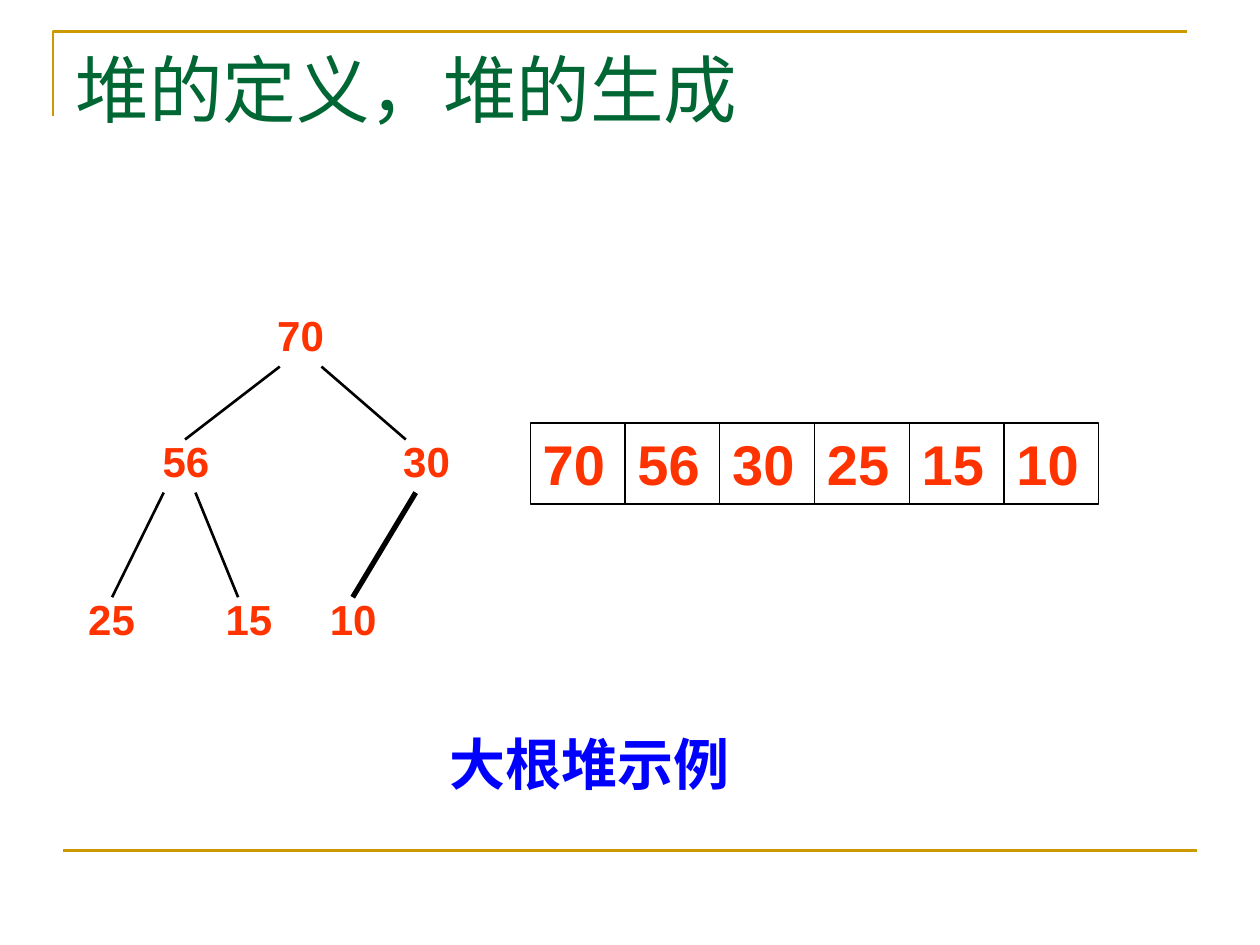
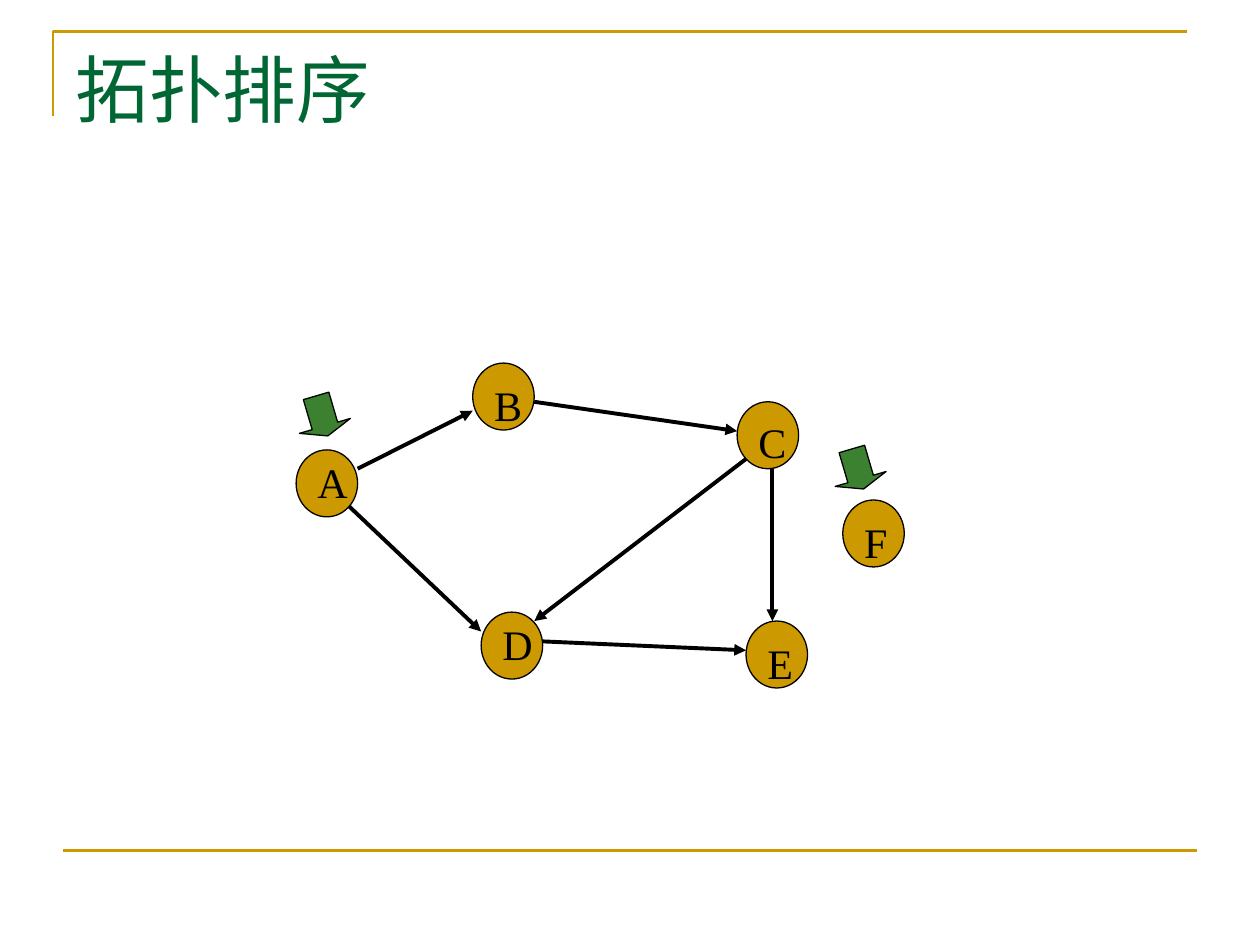
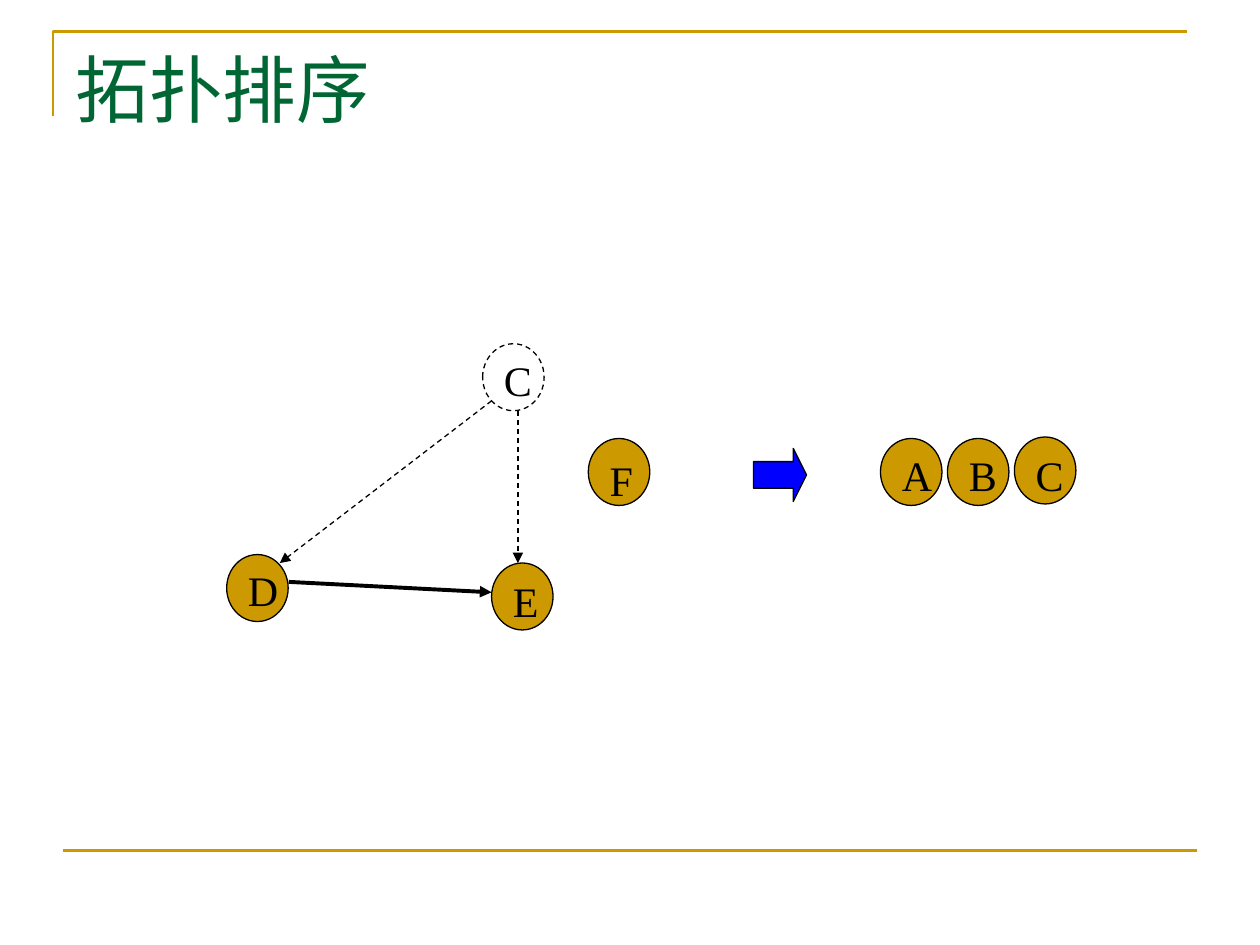
from dataclasses import dataclass
from typing import Optional

from lxml.etree import SubElement
from pptx import Presentation
from pptx.dml.color import RGBColor
from pptx.enum.dml import MSO_LINE_DASH_STYLE as Dash
from pptx.enum.shapes import MSO_CONNECTOR_TYPE as ConnectorType, MSO_SHAPE as Preset
from pptx.enum.text import MSO_ANCHOR as Anchor, MSO_AUTO_SIZE as AutoSize, PP_ALIGN as Align
from pptx.oxml.ns import qn
from pptx.util import Cm, Pt

GOLD = RGBColor(0xCC, 0x99, 0x00)
TITLE_GREEN = RGBColor(0x00, 0x66, 0x33)
ARROW_GREEN = RGBColor(0x3B, 0x81, 0x2F)
ORANGE = RGBColor(0xFF, 0x33, 0x00)
BLUE = RGBColor(0x00, 0x00, 0xFF)
BLACK = RGBColor(0x00, 0x00, 0x00)

TITLE_FONT = {"name": "Times New Roman", "size": Pt(42), "bold": False}
LETTER_FONT = {"name": "Times New Roman", "size": Pt(24)}
TREE_FONT = {"name": "Arial", "size": Pt(24), "bold": True}
LARGE_FONT = {"name": "Arial", "size": Pt(32), "bold": True}

VERTEX_WIDTH, VERTEX_HEIGHT = 1.24, 1.35
CELL_WIDTH = 1.91
THIN, THICK = 0.75, 2.25


@dataclass(frozen=True)
class Box:
    left: float
    top: float
    width: float
    height: float

    def lengths(self) -> list:
        return [Cm(value) for value in (self.left, self.top, self.width, self.height)]


@dataclass(frozen=True)
class TreeNode:
    value: str
    left: float
    top: float


@dataclass(frozen=True)
class Vertex:
    letter: str
    left: float
    top: float
    label_drop: float
    removed: bool = False


@dataclass(frozen=True)
class Edge:
    start: tuple
    end: tuple
    weight: float = THICK
    dashed: bool = False
    arrow: bool = True
    color: RGBColor = BLACK


@dataclass(frozen=True)
class BlockArrow:
    box: Box
    color: RGBColor
    rotation: float = 0


BOTTOM_RULE = Edge((1.27, 17.15), (24.13, 17.15), 1.5, arrow=False, color=GOLD)

TREE_NODES = [
    TreeNode("70", 5.21, 6.12),
    TreeNode("56", 2.9, 8.66),
    TreeNode("30", 7.75, 8.66),
    TreeNode("25", 1.4, 11.84),
    TreeNode("15", 4.17, 11.84),
    TreeNode("10", 6.27, 11.84),
]
TREE_EDGES = [
    Edge((5.64, 7.39), (3.73, 8.86), 1.5, arrow=False),
    Edge((6.48, 7.39), (8.18, 8.86), 1.5, arrow=False),
    Edge((3.3, 9.93), (2.26, 12.04), 1.5, arrow=False),
    Edge((3.94, 9.93), (4.8, 12.04), 1.5, arrow=False),
    Edge((8.38, 9.93), (7.11, 12.04), 3, arrow=False),
]

FULL_GRAPH = [
    Vertex("A", 5.97, 9.07, 0),
    Vertex("B", 9.53, 7.32, 0.2),
    Vertex("C", 14.86, 8.1, 0.18),
    Vertex("D", 9.7, 12.34, 0),
    Vertex("E", 15.04, 12.52, 0.2),
    Vertex("F", 16.99, 10.08, 0.2),
]
FULL_EDGES = [
    Edge((7.21, 9.45), (9.53, 8.28)),
    Edge((10.77, 8.1), (14.86, 8.69)),
    Edge((7.04, 10.21), (9.7, 12.73)),
    Edge((10.95, 12.93), (15.04, 13.11)),
    Edge((15.57, 9.45), (15.57, 12.52)),
    Edge((15.04, 9.25), (10.77, 12.52)),
]
SOURCE_MARKERS = [
    BlockArrow(Box(6.07, 7.85, 0.84, 1.07), ARROW_GREEN, 73.6),
    BlockArrow(Box(16.87, 8.92, 0.84, 1.07), ARROW_GREEN, 73.6),
]

REDUCED_GRAPH = [
    Vertex("C", 9.73, 6.93, 0.1, removed=True),
    Vertex("D", 4.57, 11.18, 0.08),
    Vertex("E", 9.91, 11.35, 0.13),
    Vertex("F", 11.86, 8.84, 0.2),
]
SORTED_VERTICES = [
    Vertex("A", 17.75, 8.84, 0.1),
    Vertex("B", 19.1, 8.84, 0.1),
    Vertex("C", 20.45, 8.81, 0.13),
]
REDUCED_EDGES = [
    Edge((5.82, 11.73), (9.91, 11.94)),
    Edge((10.44, 8.28), (10.44, 11.35), THIN, dashed=True),
    Edge((9.91, 8.08), (5.64, 11.35), THIN, dashed=True),
]
OUTPUT_ARROW = BlockArrow(Box(15.19, 9.04, 1.07, 1.07), BLUE)


def format_text(shape, text: str, font_values: dict, color: RGBColor,
                alignment=Align.LEFT, auto_size=AutoSize.SHAPE_TO_FIT_TEXT) -> None:
    frame = shape.text_frame
    frame_values = {"text": text, "word_wrap": True, "auto_size": auto_size,
                    "vertical_anchor": Anchor.TOP}
    for name, value in frame_values.items():
        setattr(frame, name, value)
    paragraph = frame.paragraphs[0]
    paragraph.alignment = alignment
    font = paragraph.runs[0].font
    for name, value in font_values.items():
        setattr(font, name, value)
    font.color.rgb = color


def add_text(slide, box: Box, text: str, font_values: dict, color: RGBColor,
             alignment=Align.LEFT) -> None:
    text_box = slide.shapes.add_textbox(*box.lengths())
    format_text(text_box, text, font_values, color, alignment)


def format_line(line, weight: float, color: RGBColor = BLACK, dashed: bool = False) -> None:
    line.color.rgb = color
    line.width = Pt(weight)
    if dashed:
        line.dash_style = Dash.DASH


def add_preset(slide, preset, box: Box, fill: Optional[RGBColor], dashed: bool = False):
    shape = slide.shapes.add_shape(preset, *box.lengths())
    shape.shadow.inherit = False
    if fill is None:
        shape.fill.background()
    else:
        shape.fill.solid()
        shape.fill.fore_color.rgb = fill
    format_line(shape.line, THIN, dashed=dashed)
    return shape


def add_edge(slide, edge: Edge) -> None:
    points = [Cm(value) for value in edge.start + edge.end]
    connector = slide.shapes.add_connector(ConnectorType.STRAIGHT, *points)
    format_line(connector.line, edge.weight, edge.color, edge.dashed)
    properties = connector._element.spPr
    if edge.arrow:
        SubElement(properties.find(qn("a:ln")), qn("a:tailEnd"), type="triangle")
    SubElement(properties, qn("a:effectLst"))


def add_block_arrow(slide, arrow: BlockArrow) -> None:
    shape = add_preset(slide, Preset.RIGHT_ARROW, arrow.box, arrow.color)
    shape.adjustments[0] = 0.5
    shape.adjustments[1] = 0.25
    shape.rotation = arrow.rotation


def add_vertex(slide, vertex: Vertex) -> None:
    circle = Box(vertex.left, vertex.top, VERTEX_WIDTH, VERTEX_HEIGHT)
    add_preset(slide, Preset.OVAL, circle, None if vertex.removed else GOLD, vertex.removed)
    label = Box(vertex.left + 0.18, vertex.top + vertex.label_drop, 0.84, 1.27)
    add_text(slide, label, vertex.letter, LETTER_FONT, BLACK)


def add_graph(slide, vertices: list[Vertex], edges: list[Edge],
              arrows: list[BlockArrow]) -> None:
    for vertex in vertices:
        add_vertex(slide, vertex)
    for edge in edges:
        add_edge(slide, edge)
    for arrow in arrows:
        add_block_arrow(slide, arrow)


def add_titled_slide(presentation, title_text: str):
    slide = presentation.slides.add_slide(presentation.slide_layouts[5])
    builder = slide.shapes.build_freeform(Cm(1.07), Cm(2.34))
    builder.add_line_segments([(Cm(1.07), Cm(0.64)), (Cm(23.93), Cm(0.64))], close=False)
    corner = builder.convert_to_shape()
    corner.shadow.inherit = False
    corner.fill.background()
    format_line(corner.line, 1.5, GOLD)
    add_edge(slide, BOTTOM_RULE)
    title = slide.shapes.title
    title.left, title.top, title.width, title.height = Box(1.27, 0.76, 22.86, 3.18).lengths()
    format_text(title, title_text, TITLE_FONT, TITLE_GREEN, auto_size=AutoSize.NONE)
    return slide


def add_heap_slide(presentation) -> None:
    slide = add_titled_slide(presentation, "堆的定义，堆的生成")
    for node in TREE_NODES:
        add_text(slide, Box(node.left, node.top, 1.7, 1.27), node.value,
                 TREE_FONT, ORANGE, Align.CENTER)
    for edge in TREE_EDGES:
        add_edge(slide, edge)
    for index, node in enumerate(TREE_NODES):
        box = Box(10.69 + index * CELL_WIDTH, 8.53, CELL_WIDTH, 1.63)
        cell = add_preset(slide, Preset.RECTANGLE, box, None)
        format_text(cell, node.value, LARGE_FONT, ORANGE)
    add_text(slide, Box(8.81, 14.58, 6.55, 1.6), "大根堆示例", LARGE_FONT, BLUE)


def main() -> None:
    presentation = Presentation()
    presentation.slide_width, presentation.slide_height = Cm(25.4), Cm(19.05)
    add_heap_slide(presentation)
    add_graph(add_titled_slide(presentation, "拓扑排序"),
              FULL_GRAPH, FULL_EDGES, SOURCE_MARKERS)
    add_graph(add_titled_slide(presentation, "拓扑排序"),
              REDUCED_GRAPH + SORTED_VERTICES, REDUCED_EDGES, [OUTPUT_ARROW])
    presentation.save("out.pptx")


if __name__ == "__main__":
    main()
